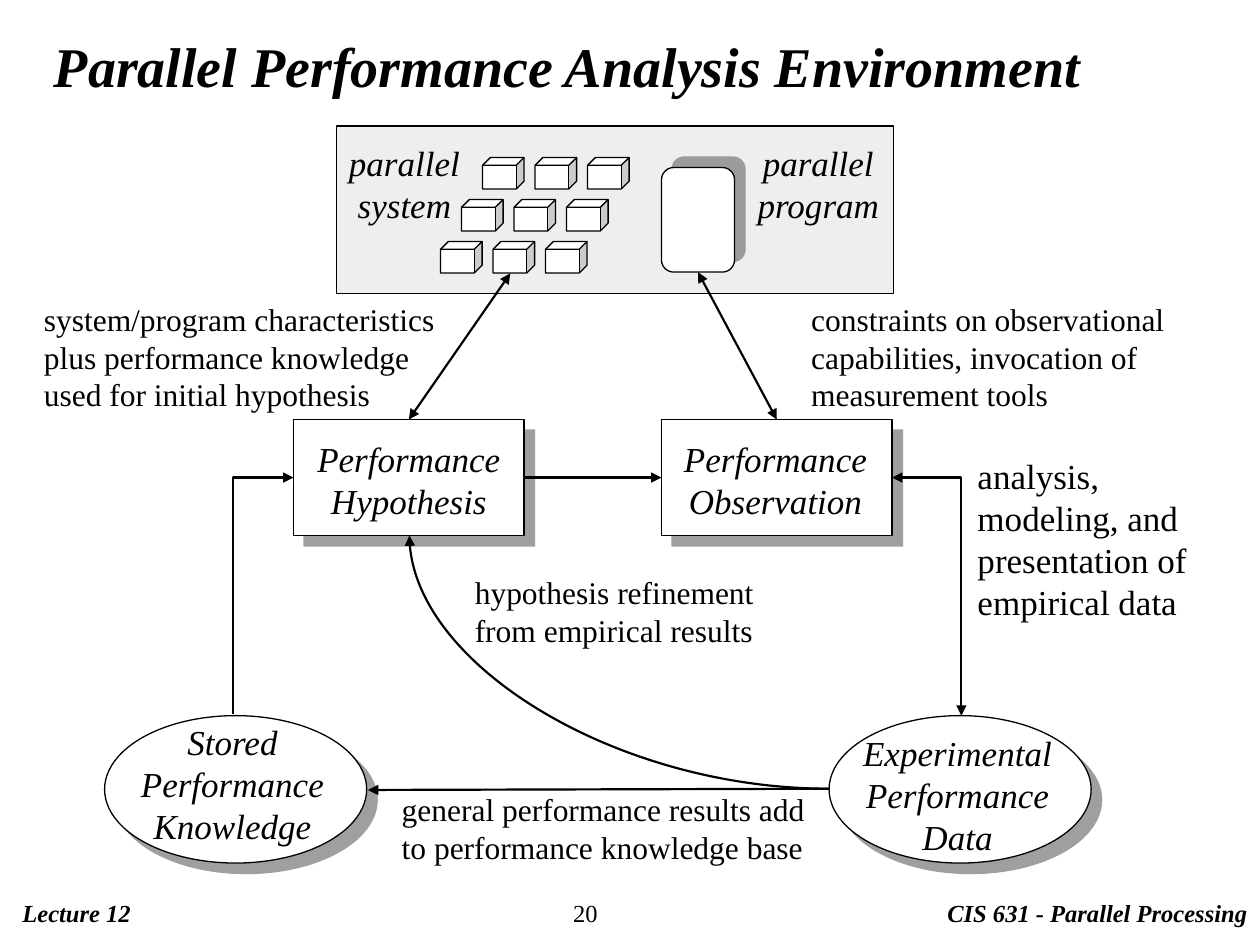
from lxml.etree import SubElement
from pptx import Presentation
from pptx.dml.color import RGBColor
from pptx.enum.shapes import MSO_CONNECTOR as Conn, MSO_SHAPE as Kind
from pptx.enum.text import MSO_ANCHOR as Anchor, PP_ALIGN as Align
from pptx.oxml.ns import qn
from pptx.util import Inches, Pt

TOP, LEFT, BOTTOM, RIGHT = range(4)


def color(code):
    return RGBColor.from_string(code)


class Board:
    font, ink, paper, shade = "Times New Roman", "000000", "FFFFFF", "808080"

    def __init__(self, slide):
        self.slide = slide
        self.shapes = slide.shapes

    def text(self, words, left, top, width, height, size=18, bold=False,
             italic=False, align=Align.LEFT, anchor=Anchor.TOP, wrap=True):
        box = self.shapes.add_textbox(*map(Inches, (left, top, width, height)))
        frame = box.text_frame
        frame.word_wrap = wrap
        frame.vertical_anchor = anchor
        frame.text = words
        for para in frame.paragraphs:
            para.alignment = align
            font = para.font
            font.name, font.size = self.font, Pt(size)
            font.bold, font.italic = bold, italic
            font.color.rgb = color(self.ink)
        return box

    def label(self, words, *place):
        return self.text(words, *place, size=20, italic=True, align=Align.CENTER,
                         wrap=False)

    def shape(self, kind, left, top, width, height, fill=paper, angle=None):
        """Draw an outlined shape; an angle in degrees gives it a shadow."""
        item = self.shapes.add_shape(kind, *map(Inches, (left, top, width, height)))
        item.shadow.inherit = False
        item.fill.solid()
        item.fill.fore_color.rgb = color(fill)
        item.line.color.rgb = color(self.ink)
        item.line.width = Pt(0.75)
        if angle is not None:
            effects = item._element.spPr.find(qn("a:effectLst"))
            shadow = SubElement(effects, qn("a:outerShdw"), dist=str(Pt(8.5)),
                                dir=str(angle * 60000), algn="ctr", rotWithShape="0")
            tone = SubElement(shadow, qn("a:srgbClr"), val=self.shade)
            SubElement(tone, qn("a:alpha"), val="75000")
        return item

    def arrow(self, start, end, kind=Conn.STRAIGHT, head=False, tail=True,
              begin=None, finish=None):
        """Draw a connector; begin and finish are (shape, side) joins."""
        link = self.shapes.add_connector(kind, *map(Inches, (*start, *end)))
        link.line.color.rgb = color(self.ink)
        link.line.width = Pt(1.25)
        props = link._element.spPr
        if kind != Conn.STRAIGHT:  # one turn only
            geom = props.find(qn("a:prstGeom"))
            geom.set("prst", geom.get("prst").replace("3", "2"))
        line = props.find(qn("a:ln"))
        for tag, shown in (("a:headEnd", head), ("a:tailEnd", tail)):
            if shown:
                SubElement(line, qn(tag), type="triangle")
        SubElement(props, qn("a:effectLst"))
        if begin:
            link.begin_connect(*begin)
        if finish:
            link.end_connect(*finish)
        return link


def main():
    deck = Presentation()
    deck.slide_width, deck.slide_height = Inches(10), Inches(7.5)
    board = Board(deck.slides.add_slide(deck.slide_layouts[6]))

    # Title and footer
    strong = {"bold": True, "italic": True}
    board.text("Parallel Performance Analysis Environment", 0.33, 0.27, 9.42, 0.5,
               size=32, anchor=Anchor.MIDDLE, **strong)
    board.text("Lecture 12", 0.08, 7.08, 4, 0.34, size=14, **strong)
    board.text("20", 4.45, 7.08, 1.01, 0.34, size=14)
    board.text("CIS 631 - Parallel Processing", 7.42, 7.08, 2.58, 0.34, size=14,
               wrap=False, **strong)

    # System and program panel
    board.shape(Kind.RECTANGLE, 2.67, 1, 4.42, 1.33, fill="EEEEEE")
    board.label("parallel\nsystem", 2.67, 1.07, 1.08, 0.77)
    board.label("parallel\nprogram", 5.91, 1.07, 1.17, 0.77)
    for row in range(3):
        for col in range(3):
            board.shape(Kind.CUBE, 3.83 + col * 5 / 12 - row / 6,
                        1.25 + row / 3, 0.33, 0.25)
    program = board.shape(Kind.ROUNDED_RECTANGLE, 5.25, 1.33, 0.58, 0.83, angle=315)

    # Stages and stores
    guess = board.shape(Kind.RECTANGLE, 2.33, 3.33, 1.83, 0.92, angle=45)
    watch = board.shape(Kind.RECTANGLE, 5.25, 3.33, 1.83, 0.92, angle=45)
    for left in (0.83, 6.58):
        board.shape(Kind.OVAL, left, 5.68, 2.08, 1.17, angle=45)
    board.label("Performance\nHypothesis", 2.42, 3.42, 1.65, 0.77)
    board.label("Performance\nObservation", 5.33, 3.42, 1.65, 0.77)
    board.label("Stored\nPerformance\nKnowledge", 1.02, 5.67, 1.65, 1.1)
    board.label("Experimental\nPerformance\nData", 6.75, 5.76, 1.7, 1.1)

    # Flow between them
    board.arrow((4.05, 2.17), (3.25, 3.33), head=True, finish=(guess, TOP))
    board.arrow((5.54, 2.17), (6.17, 3.33), head=True,
                begin=(program, BOTTOM), finish=(watch, TOP))
    board.arrow((4.17, 3.79), (5.25, 3.79),
                begin=(guess, RIGHT), finish=(watch, LEFT))
    board.arrow((6.58, 6.26), (2.92, 6.27))
    board.arrow((7.08, 3.79), (7.63, 5.68), Conn.ELBOW, head=True)
    board.arrow((2.33, 3.79), (1.85, 5.67), Conn.ELBOW, head=True, tail=False)
    board.arrow((6.58, 6.26), (3.25, 4.25), Conn.CURVE)

    # Notes beside the arrows, with room to spare on the right
    board.text("system/program characteristics\nplus performance knowledge\n"
               "used for initial hypothesis", 0.25, 2.33, 3.5, 1)
    board.text("constraints on observational\ncapabilities, invocation of\n"
               "measurement tools", 6.34, 2.33, 3.2, 1)
    board.text("hypothesis refinement\nfrom empirical results", 3.67, 4.5, 2.6, 0.7)
    board.text("general performance results add\nto performance knowledge base",
               3.09, 6.22, 3.6, 0.7)
    board.text("analysis,\nmodeling, and\npresentation of\nempirical data",
               7.66, 3.56, 2, 1.44, size=20)

    deck.save("out.pptx")


if __name__ == "__main__":
    main()
